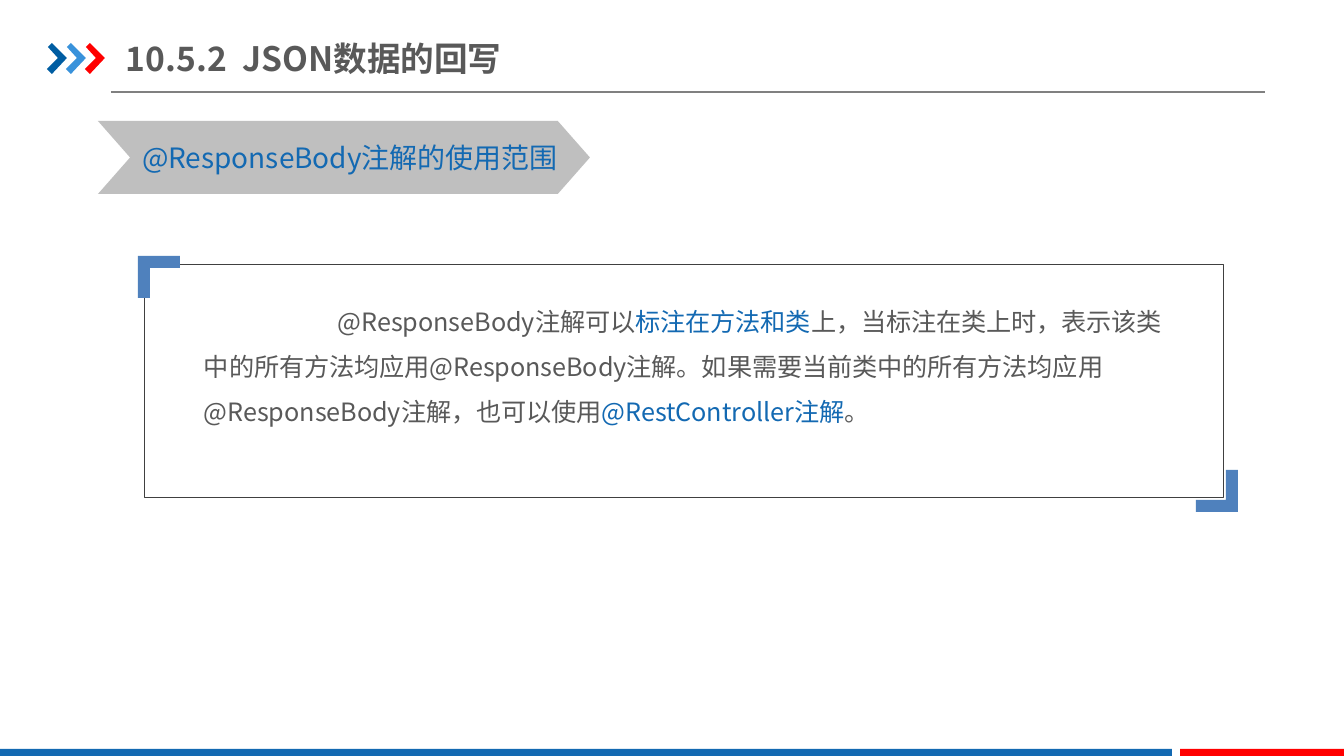
from pptx import Presentation
from pptx import util as u
from pptx.dml.color import RGBColor
from pptx.enum import shapes, text
from pptx.oxml.ns import qn
from lxml import etree

SCALE = 914400 / 134.4
FONT = "Noto Sans CJK SC"
BLUE = RGBColor(0x13, 0x69, 0xB2)
NAVY = RGBColor(0x00, 0x5D, 0xA2)
SKY = RGBColor(0x39, 0x92, 0xDB)
STEEL = RGBColor(0x4F, 0x81, 0xBD)
RED = RGBColor(0xFF, 0x00, 0x00)
SILVER = RGBColor(0xBF, 0xBF, 0xBF)
GRAY = RGBColor(0x80, 0x80, 0x80)
DARK = RGBColor(0x40, 0x40, 0x40)
INK = RGBColor(0x59, 0x59, 0x59)


def px(*lengths):
    return [u.Emu(round(length * SCALE)) for length in lengths]


class SlideBuilder:
    def __init__(self, page):
        self.page = page

    def paint(self, shape, fill=None, line=None, width=0.25):
        shape.shadow.inherit = False
        if fill is None:
            shape.fill.background()
        else:
            shape.fill.solid()
            shape.fill.fore_color.rgb = fill
        if line is None:
            shape.line.fill.background()
        else:
            shape.line.color.rgb = line
            shape.line.width = u.Pt(width)

    def shape(self, kind, place, **style):
        shape = self.page.shapes.add_shape(kind, *px(*place))
        self.paint(shape, **style)
        return shape

    def outline(self, points, fill):
        builder = self.page.shapes.build_freeform(*points[0], scale=SCALE)
        builder.add_line_segments(points[1:], close=True)
        self.paint(builder.convert_to_shape(), fill=fill)

    def corner(self, x, y, direction):
        steps = [(0, 0), (42, 0), (42, 12), (12, 12), (12, 42), (0, 42)]
        self.outline([(x + direction * dx, y + direction * dy) for dx, dy in steps], STEEL)

    def rule(self, start, end):
        line = self.page.shapes.add_connector(
            shapes.MSO_CONNECTOR.STRAIGHT, *px(*start, *end))
        line.line.color.rgb = GRAY
        line.line.width = u.Pt(0.75)
        etree.SubElement(line._element.spPr, qn("a:effectLst"))

    def label(self, place):
        return self.page.shapes.add_textbox(*px(*place))

    def set_text(self, box, place, spans, size, bold=False, wrap=True, insets=(13, 7),
                 anchor=text.MSO_ANCHOR.TOP, spacing=1.0, indent=0):
        box.left, box.top, box.width, box.height = px(*place)
        frame = box.text_frame
        frame.auto_size = text.MSO_AUTO_SIZE.NONE
        frame.word_wrap = wrap
        frame.vertical_anchor = anchor
        side, edge = px(*insets)
        frame.margin_left = frame.margin_right = side
        frame.margin_top = frame.margin_bottom = edge
        para = frame.paragraphs[0]
        para.alignment = text.PP_ALIGN.LEFT
        para.line_spacing = spacing
        para.space_before = u.Pt(0)
        properties = para._p.get_or_add_pPr()
        properties.set("marL", "0")
        properties.set("indent", str(px(indent)[0]))
        etree.SubElement(properties, qn("a:buNone"))
        for words, color in spans:
            span = para.add_run()
            span.text = words
            span.font.size = u.Pt(size)
            span.font.bold = bold
            span.font.color.rgb = color
            span.font.name = FONT
            etree.SubElement(span._r.get_or_add_rPr(), qn("a:ea"), typeface=FONT)


def main():
    deck = Presentation()
    deck.slide_width, deck.slide_height = px(1344, 756)
    page = deck.slides.add_slide(deck.slide_layouts[1])
    slide = SlideBuilder(page)
    preset = shapes.MSO_SHAPE

    slide.rule((111, 92), (1265, 92))
    arrow = [(48, 47), (52, 43), (67, 58), (52, 74), (47, 69), (58, 58)]
    for index, color in enumerate((NAVY, SKY, RED)):
        slide.outline([(x + 19 * index, y) for x, y in arrow], color)
    slide.shape(preset.RECTANGLE, (0, 749, 1172, 9), fill=BLUE)
    slide.shape(preset.RECTANGLE, (1180, 749, 164, 9), fill=RED)

    slide.set_text(page.shapes.title, (126, 30, 413, 56),
                   [("10.5.2  JSON数据的回写", INK)], 18, bold=True,
                   insets=(0, 7), anchor=text.MSO_ANCHOR.MIDDLE)

    banner = slide.shape(preset.CHEVRON, (98, 121, 492, 73), fill=SILVER)
    banner.adjustments[0] = 0.44
    heading = (129, 134, 453, 47)
    slide.set_text(slide.label(heading), heading,
                   [("@ResponseBody注解的使用范围", BLUE)], 15, wrap=False)

    slide.set_text(page.placeholders[1], (195, 286, 978, 371), [
        ("@ResponseBody注解可以", INK),
        ("标注在方法和类", BLUE),
        ("上，当标注在类上时，表示该类中的所有方法均应用@ResponseBody注解。"
         "如果需要当前类中的所有方法均应用@ResponseBody注解，也可以使用", INK),
        ("@RestController注解", BLUE),
        ("。", INK),
    ], 13.5, insets=(9, 5), spacing=1.5, indent=134)

    border = slide.shape(preset.ROUNDED_RECTANGLE, (144, 264, 1079, 233), line=DARK)
    border.adjustments[0] = 0
    slide.corner(138, 256, 1)
    slide.corner(1238, 512, -1)

    deck.save("out.pptx")


if __name__ == "__main__":
    main()
